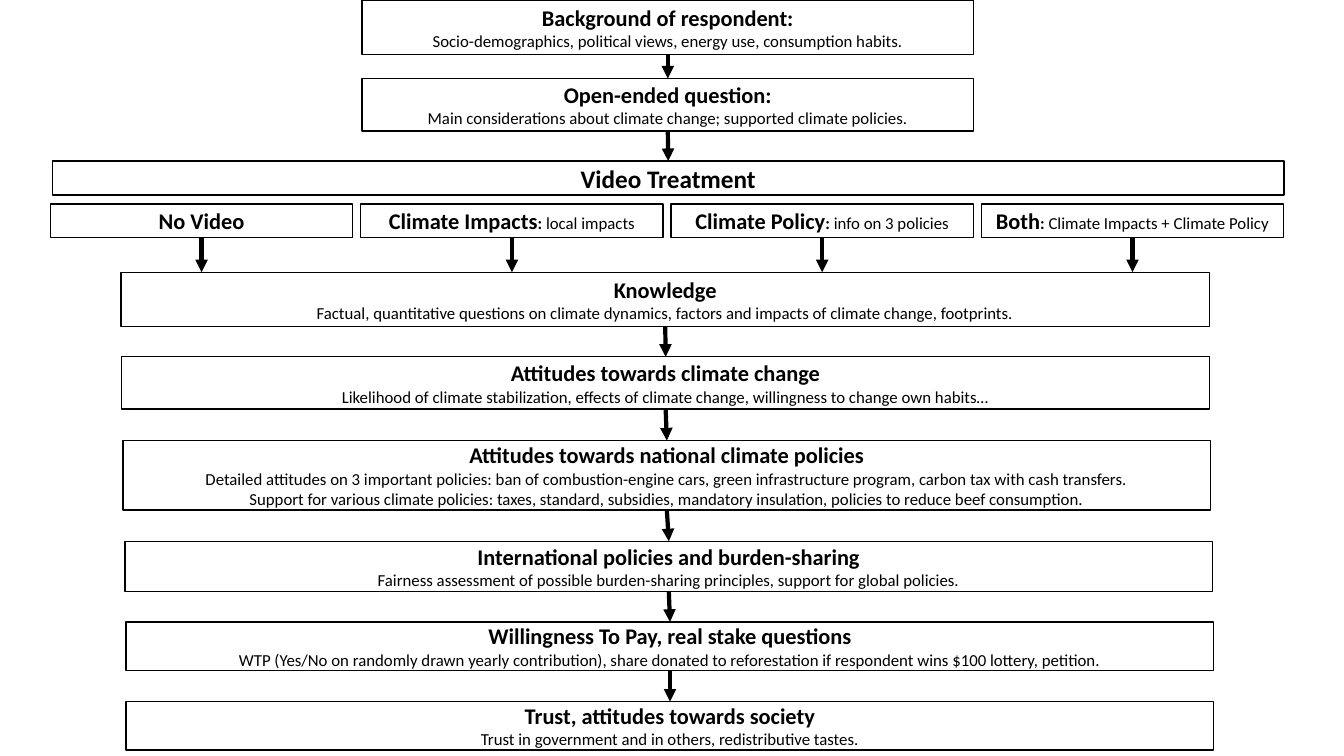
from itertools import pairwise

from lxml.etree import SubElement
from pptx import Presentation
from pptx.dml.color import RGBColor
from pptx.enum.shapes import MSO_CONNECTOR, MSO_SHAPE
from pptx.enum.text import MSO_ANCHOR, PP_ALIGN
from pptx.oxml.ns import qn
from pptx.util import Cm, Pt

BLACK = RGBColor(0x00, 0x00, 0x00)

STAGE_TITLE = {"name": "Calibri", "size": Pt(18), "bold": True}
HEADING = {"name": "Calibri", "size": Pt(16), "bold": True}
COLON = {"name": "Calibri", "size": Pt(12), "bold": True}
DETAIL = {"name": "Calibri", "size": Pt(12), "bold": False}

BOTTOM, TOP = 2, 0

# Each stage: (left, top, width, height) in cm, heading, detail lines
OPENING_STAGES = [
    ((9.12, 0, 15.42, 1.37), "Background of respondent:",
     ["Socio-demographics, political views, energy use, consumption habits."]),
    ((9.12, 1.98, 15.42, 1.32), "Open-ended question:",
     ["Main considerations about climate change; supported climate policies."]),
]
VIDEO_BOX = (1.32, 4.06, 31.04, 0.86)
VIDEO_ARMS = [
    ("No Video", ""),
    ("Climate Impacts", "local impacts"),
    ("Climate Policy", "info on 3 policies"),
    ("Both", "Climate Impacts + Climate Policy"),
]
ARM_LEFT, ARM_TOP, ARM_WIDTH, ARM_HEIGHT, ARM_PITCH = 1.27, 5.14, 7.62, 0.84, 7.82
OUTCOME_STAGES = [
    ((3.05, 6.86, 27.43, 1.37), "Knowledge",
     ["Factual, quantitative questions on climate dynamics, factors and impacts "
      "of climate change, footprints."]),
    ((3.07, 8.99, 27.41, 1.32), "Attitudes towards climate change",
     ["Likelihood of climate stabilization, effects of climate change, "
      "willingness to change own habits…"]),
    ((3.1, 11.1, 27.41, 1.75), "Attitudes towards national climate policies",
     ["Detailed attitudes on 3 important policies: ban of combustion-engine cars, "
      "green infrastructure program, carbon tax with cash transfers.",
      "Support for various climate policies: taxes, standard, subsidies, "
      "mandatory insulation, policies to reduce beef consumption."]),
    ((3.15, 13.64, 27.41, 1.27), "International policies and burden-sharing",
     ["Fairness assessment of possible burden-sharing principles, "
      "support for global policies."]),
    ((3.18, 15.67, 27.41, 1.22), "Willingness To Pay, real stake questions",
     ["WTP (Yes/No on randomly drawn yearly contribution), share donated to "
      "reforestation if respondent wins $100 lottery, petition."]),
    ((3.18, 17.68, 27.41, 1.22), "Trust, attitudes towards society",
     ["Trust in government and in others, redistributive tastes."]),
]


def add_box(slide, bounds, paragraphs):
    """Draw an outlined box; each paragraph is a list of (text, format) runs."""
    box = slide.shapes.add_shape(MSO_SHAPE.RECTANGLE, *map(Cm, bounds))
    box.shadow.inherit = False
    box.fill.background()
    box.line.color.rgb = BLACK
    box.line.width = Pt(1)
    frame = box.text_frame
    frame.word_wrap = True
    frame.vertical_anchor = MSO_ANCHOR.MIDDLE
    for index, runs in enumerate(paragraphs):
        paragraph = frame.add_paragraph() if index else frame.paragraphs[0]
        paragraph.alignment = PP_ALIGN.CENTER
        for text, run_format in runs:
            run = paragraph.add_run()
            run.text = text
            run.font.color.rgb = BLACK
            for attribute, value in run_format.items():
                setattr(run.font, attribute, value)
    return box


def add_stage(slide, bounds, heading, details):
    return add_box(slide, bounds,
                   [[(heading, HEADING)]] + [[(detail, DETAIL)] for detail in details])


def add_arm(slide, column, name, content):
    runs = [(name, HEADING)]
    if content:
        runs += [(": ", COLON), (content, DETAIL)]
    left = ARM_LEFT + column * ARM_PITCH
    return add_box(slide, (left, ARM_TOP, ARM_WIDTH, ARM_HEIGHT), [runs])


def add_down_arrow(slide, upper, lower, joined_below=True):
    """Run an arrow from the upper box's bottom middle to the lower box's top."""
    middle = upper.left + upper.width // 2
    arrow = slide.shapes.add_connector(
        MSO_CONNECTOR.STRAIGHT, middle, upper.top + upper.height, middle, lower.top)
    arrow.begin_connect(upper, BOTTOM)
    if joined_below:
        arrow.end_connect(lower, TOP)
    arrow.line.color.rgb = BLACK
    arrow.line.width = Pt(3)
    SubElement(arrow.line._get_or_add_ln(), qn("a:tailEnd"), type="triangle")
    SubElement(arrow._element.spPr, qn("a:effectLst"))


def main():
    presentation = Presentation()
    presentation.slide_width = Cm(33.87)
    presentation.slide_height = Cm(19.05)
    slide = presentation.slides.add_slide(presentation.slide_layouts[6])

    opening = [add_stage(slide, *stage) for stage in OPENING_STAGES]
    video = add_box(slide, VIDEO_BOX, [[("Video Treatment", STAGE_TITLE)]])
    arms = [add_arm(slide, column, *arm) for column, arm in enumerate(VIDEO_ARMS)]
    outcomes = [add_stage(slide, *stage) for stage in OUTCOME_STAGES]

    for chain in (opening + [video], outcomes):
        for upper, lower in pairwise(chain):
            add_down_arrow(slide, upper, lower)
    for arm in arms:
        add_down_arrow(slide, arm, outcomes[0], joined_below=False)

    presentation.save("out.pptx")


if __name__ == "__main__":
    main()
